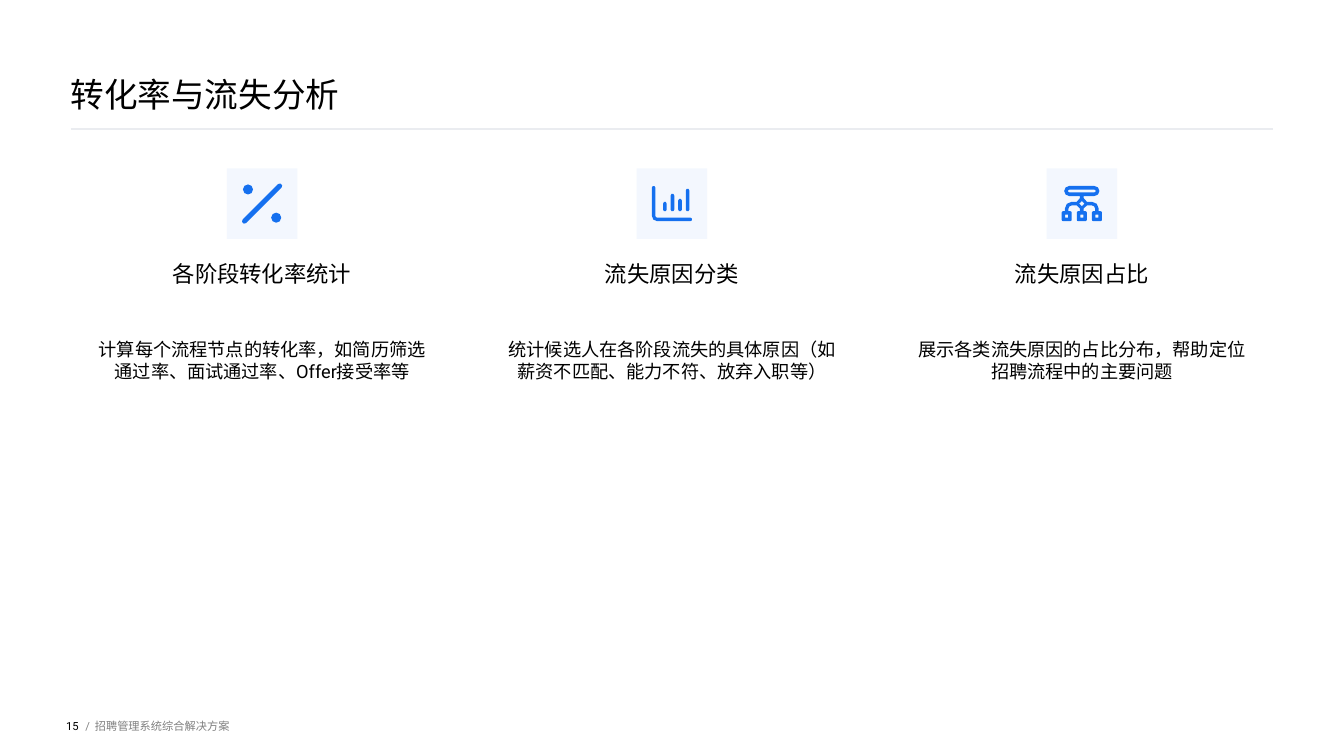
import math
from dataclasses import dataclass

from lxml import etree
from pptx import Presentation
from pptx import util as u
from pptx.dml.color import RGBColor
from pptx.enum import shapes, text
from pptx.oxml import ns

Point = tuple[float, float]
Outline = list[Point]


@dataclass(frozen=True)
class Theme:
    font: str = "Roboto"
    ink: str = "000000"
    muted: str = "808080"
    rule: str = "EAECF0"
    accent: str = "1570EF"
    tile_opacity: int = 5
    title_size: int = 24
    heading_size: int = 16
    body_size: int = 13
    footer_size: int = 8


@dataclass(frozen=True)
class Box:
    left: float
    top: float
    width: float
    height: float


@dataclass(frozen=True)
class Topic:
    heading: str
    body: str
    icon: list[Outline]


THEME = Theme()
SLIDE_WIDTH, SLIDE_HEIGHT = 13.33, 7.5
COLUMN_LEFT, COLUMN_WIDTH, COLUMN_PITCH = 0.95, 3.3, 8.13 / 2
TILE_TOP, TILE_SIZE = 1.67, 0.7
ICON_UNIT = 0.01  # icons are drawn around (0, 0) in hundredths of an inch


# Icon outlines
def arc(x: float, y: float, radius: float, start: float, end: float) -> Outline:
    steps = math.ceil(abs(end - start) / (60 if radius < 3 else 45))
    angles = [math.radians(start + (end - start) * i / steps) for i in range(steps + 1)]
    return [(x + radius * math.cos(a), y + radius * math.sin(a)) for a in angles]


def dot(x: float, y: float, radius: float) -> Outline:
    return arc(x, y, radius, 0, 360)[:-1]


def stroke(x1: float, y1: float, x2: float, y2: float, radius: float) -> Outline:
    """A straight bar with round ends."""
    heading = math.degrees(math.atan2(y2 - y1, x2 - x1))
    return (arc(x1, y1, radius, heading + 90, heading + 270)
            + arc(x2, y2, radius, heading - 90, heading + 90))


def square(x: float, y: float, half: float, cut: float = 0) -> Outline:
    corners = ((-1, -1), (1, -1), (1, 1), (-1, 1))
    if not cut:
        return [(x + sx * half, y + sy * half) for sx, sy in corners]
    inset = half - cut
    return [point for i, (sx, sy) in enumerate(corners)
            for point in arc(x + sx * inset, y + sy * inset, cut,
                             180 + 90 * i, 270 + 90 * i)]


def percent_icon() -> list[Outline]:
    return [stroke(-17.5, 17.5, 17.5, -17.5, 2.5), dot(-14, -14, 5), dot(14, 14, 5)]


def bars_icon() -> list[Outline]:
    axes = (arc(-18.2, -15.7, 1.8, 180, 360) + arc(-14.5, 12, 2, 180, 90)
            + arc(18.2, 15.7, 1.8, -90, 90) + arc(-14.5, 12, 5.5, 90, 180))
    tops = (0, -8, -3, -13)
    return [axes] + [stroke(-7 + 7.5 * i, top, -7 + 7.5 * i, 6, 1.8)
                     for i, top in enumerate(tops)]


def flow_icon() -> list[Outline]:
    pill = [stroke(-12.5, -12.5, 12.5, -12.5, radius) for radius in (5, 1.3)]
    left_half = ([(-1.8, -7.5), (-1.8, -5.5), (-5, -1.8)]
                 + arc(-10, 5, 6.8, 270, 180) + [(-16.8, 7.5), (-13.2, 7.5)]
                 + arc(-10, 5, 3.2, 180, 270) + [(-5, 1.8), (-1.8, 5), (-1.8, 7.5)])
    branches = left_half + [(-x, y) for x, y in reversed(left_half)]
    diamond = [(-2.6, 0), (0, -2.6), (2.6, 0), (0, 2.6)]
    nodes = [square(x, 12.5, half, cut) for x in (-15, 0, 15)
             for half, cut in ((5, 1.5), (1.5, 0))]
    return pill + [branches, diamond] + nodes


TOPICS = [
    Topic("各阶段转化率统计",
          "计算每个流程节点的转化率，如简历筛选通过率、面试通过率、Offer接受率等",
          percent_icon()),
    Topic("流失原因分类",
          "统计候选人在各阶段流失的具体原因（如薪资不匹配、能力不符、放弃入职等）",
          bars_icon()),
    Topic("流失原因占比",
          "展示各类流失原因的占比分布，帮助定位招聘流程中的主要问题",
          flow_icon()),
]


# Drawing functions
def add_text(slide, box: Box, words: str, size: int, color: str = THEME.ink,
             align=text.PP_ALIGN.LEFT, anchor=text.MSO_ANCHOR.TOP,
             line_spacing: float = 1.0) -> None:
    frame = slide.shapes.add_textbox(
        u.Inches(box.left), u.Inches(box.top),
        u.Inches(box.width), u.Inches(box.height)).text_frame
    paragraph = frame.paragraphs[0]
    paragraph.text = words
    font = paragraph.runs[0].font
    formats = {
        frame: {"word_wrap": True, "vertical_anchor": anchor, "margin_left": 0,
                "margin_right": 0, "margin_top": 0, "margin_bottom": 0},
        paragraph: {"alignment": align, "line_spacing": line_spacing},
        font: {"name": THEME.font, "size": u.Pt(size)},
    }
    for target, values in formats.items():
        for name, value in values.items():
            setattr(target, name, value)
    font.color.rgb = RGBColor.from_string(color)


def paint(shape) -> None:
    shape.shadow.inherit = False
    shape.fill.solid()
    shape.fill.fore_color.rgb = RGBColor.from_string(THEME.accent)
    shape.line.fill.background()


def add_tile(slide, center: float) -> None:
    tile = slide.shapes.add_shape(
        shapes.MSO_SHAPE.RECTANGLE, u.Inches(center - TILE_SIZE / 2),
        u.Inches(TILE_TOP), u.Inches(TILE_SIZE), u.Inches(TILE_SIZE))
    paint(tile)
    color = tile._element.spPr.find(".//" + ns.qn("a:srgbClr"))
    etree.SubElement(color, ns.qn("a:alpha"), val=str(THEME.tile_opacity * 1000))


def add_icon(slide, center: float, outlines: list[Outline]) -> None:
    middle = TILE_TOP + TILE_SIZE / 2
    placed = [[(u.Inches(center + x * ICON_UNIT), u.Inches(middle + y * ICON_UNIT))
               for x, y in outline] for outline in outlines]
    first, *others = placed
    builder = slide.shapes.build_freeform(*first[0])
    builder.add_line_segments(first[1:], close=True)
    for outline in others:
        builder.move_to(*outline[0])
        builder.add_line_segments(outline[1:], close=True)
    paint(builder.convert_to_shape())


def add_rule(slide, left: float, right: float, top: float) -> None:
    rule = slide.shapes.add_connector(
        shapes.MSO_CONNECTOR.STRAIGHT, u.Inches(left), u.Inches(top),
        u.Inches(right), u.Inches(top))
    rule.line.color.rgb = RGBColor.from_string(THEME.rule)
    rule.line.width = u.Pt(2)
    etree.SubElement(rule._element.spPr, ns.qn("a:effectLst"))


def main() -> None:
    deck = Presentation()
    deck.slide_width, deck.slide_height = u.Inches(SLIDE_WIDTH), u.Inches(SLIDE_HEIGHT)
    slide = deck.slides.add_slide(deck.slide_layouts[6])

    # Title and rule
    add_rule(slide, 0.7, 12.63, 1.28)
    add_text(slide, Box(0.7, 0, 11.94, 1.13), "转化率与流失分析",
             THEME.title_size, anchor=text.MSO_ANCHOR.BOTTOM)

    # Footer: page number, slash, deck title
    footer = [(Box(0.47, 6.9, 0.31, 0.6), "15", THEME.ink, text.PP_ALIGN.RIGHT),
              (Box(0.82, 6.91, 0.12, 0.59), " /", THEME.muted, text.PP_ALIGN.LEFT),
              (Box(0.94, 6.9, 8.61, 0.6), "招聘管理系统综合解决方案",
               THEME.muted, text.PP_ALIGN.LEFT)]
    for box, words, color, align in footer:
        add_text(slide, box, words, THEME.footer_size, color, align,
                 text.MSO_ANCHOR.MIDDLE)

    # Topic columns
    for index, topic in enumerate(TOPICS):
        left = COLUMN_LEFT + index * COLUMN_PITCH
        center = left + COLUMN_WIDTH / 2
        add_tile(slide, center)
        add_icon(slide, center, topic.icon)
        add_text(slide, Box(left, 2.61, COLUMN_WIDTH, 0.6), topic.heading,
                 THEME.heading_size, align=text.PP_ALIGN.CENTER, line_spacing=0.9)
        add_text(slide, Box(left, 3.36, COLUMN_WIDTH, 3.1), topic.body,
                 THEME.body_size, align=text.PP_ALIGN.CENTER)

    deck.save("out.pptx")


if __name__ == "__main__":
    main()
